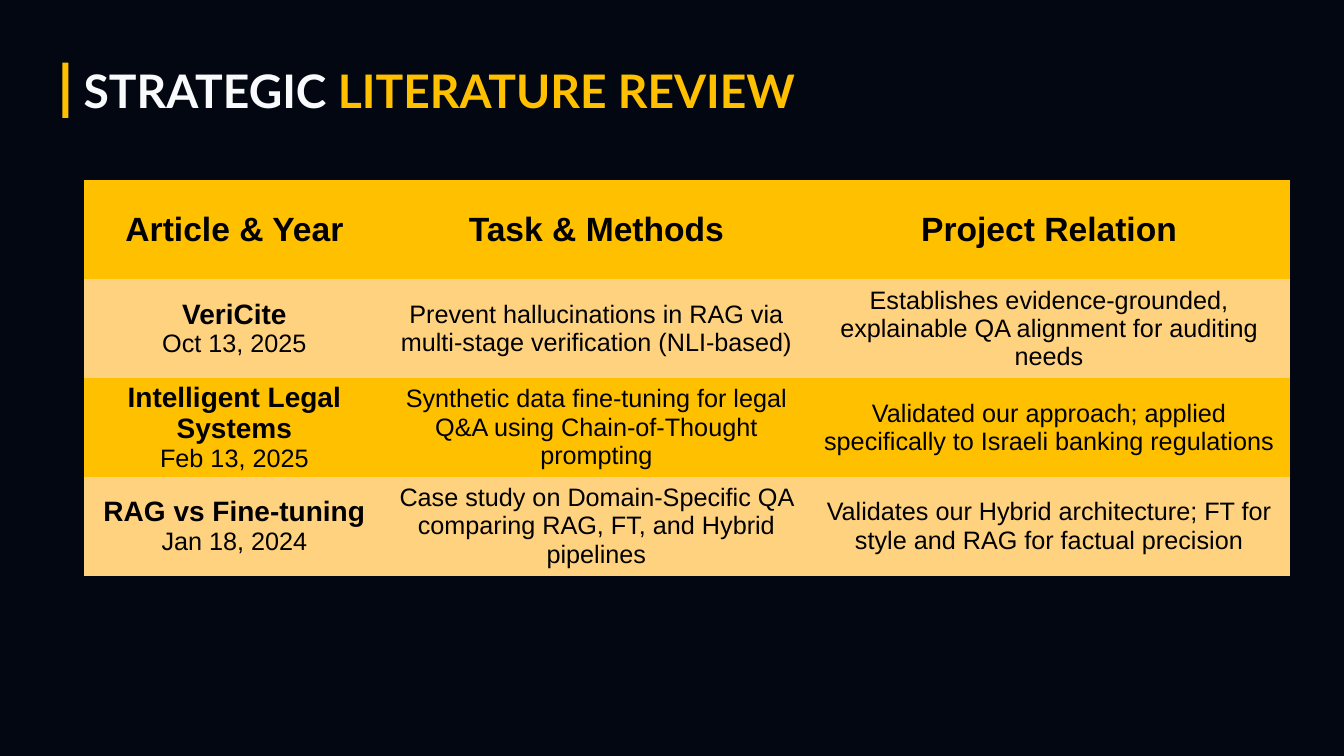
import pptx
import pptx.dml.color
import pptx.enum.shapes
import pptx.enum.text
import pptx.util

Inches = pptx.util.Inches
RGBColor = pptx.dml.color.RGBColor

NIGHT = RGBColor(0x03, 0x07, 0x12)
GOLD = RGBColor(0xFF, 0xC0, 0x00)
PALE_GOLD = RGBColor(0xFF, 0xD2, 0x7F)
WHITE = RGBColor(0xF9, 0xFA, 0xFB)
BLACK = RGBColor(0x00, 0x00, 0x00)

COLUMN_WIDTHS = (2.99, 4.19, 4.79)
ROW_HEIGHT = 0.98
HEADINGS = ("Article & Year", "Task & Methods", "Project Relation")
ARTICLES = (
    ("VeriCite", "Oct 13, 2025",
     "Prevent hallucinations in RAG via multi-stage verification (NLI-based)",
     "Establishes evidence-grounded, explainable QA alignment for auditing needs"),
    ("Intelligent Legal Systems", "Feb 13, 2025",
     "Synthetic data fine-tuning for legal Q&A using Chain-of-Thought prompting",
     "Validated our approach; applied specifically to Israeli banking regulations"),
    ("RAG vs Fine-tuning", "Jan 18, 2024",
     "Case study on Domain-Specific QA comparing RAG, FT, and Hybrid pipelines",
     "Validates our Hybrid architecture; FT for style and RAG for factual precision"),
)


def add_run(paragraph, text, size, color, font="Arial", bold=False):
    """Append one formatted run to a paragraph."""
    run = paragraph.add_run()
    run.text = text
    run.font.name = font
    run.font.size = pptx.util.Pt(size)
    run.font.bold = bold
    run.font.color.rgb = color


def fill_cell(cell, color, lines):
    """Colour a cell and write its centred lines of (text, size, bold)."""
    cell.fill.solid()
    cell.fill.fore_color.rgb = color
    cell.vertical_anchor = pptx.enum.text.MSO_ANCHOR.MIDDLE
    cell.margin_left = cell.margin_right = Inches(0.07)
    cell.margin_top = cell.margin_bottom = Inches(0.03)
    for index, (text, size, bold) in enumerate(lines):
        frame = cell.text_frame
        paragraph = frame.add_paragraph() if index else frame.paragraphs[0]
        paragraph.alignment = pptx.enum.text.PP_ALIGN.CENTER
        add_run(paragraph, text, size, BLACK, bold=bold)


def add_review_table(slide):
    """Add the table of reviewed articles."""
    rows = [[[(heading, 24, True)] for heading in HEADINGS]]
    for name, date, task, relation in ARTICLES:
        rows.append([[(name, 20, True), (date, 18, False)],
                     [(task, 18, False)], [(relation, 18, False)]])
    table = slide.shapes.add_table(
        len(rows), len(COLUMN_WIDTHS), Inches(0.83), Inches(1.79),
        Inches(sum(COLUMN_WIDTHS)), Inches(ROW_HEIGHT * len(rows))).table
    table.horz_banding = False
    for column, width in zip(table.columns, COLUMN_WIDTHS):
        column.width = Inches(width)
    for row_index, row in enumerate(rows):
        table.rows[row_index].height = Inches(ROW_HEIGHT)
        color = PALE_GOLD if row_index % 2 else GOLD
        for column_index, lines in enumerate(row):
            fill_cell(table.cell(row_index, column_index), color, lines)
    properties = table._tbl.tblPr
    style = properties.find(pptx.oxml.ns.qn("a:tableStyleId"))
    style.text = "{2D5ABB26-0587-4C30-8999-92F81FD0307C}"


def add_title(slide):
    """Add the two-colour slide title."""
    frame = slide.shapes.add_textbox(
        Inches(0.83), Inches(0.62), Inches(12.47), Inches(0.55)).text_frame
    frame.word_wrap = True
    frame.auto_size = pptx.enum.text.MSO_AUTO_SIZE.SHAPE_TO_FIT_TEXT
    frame.margin_left = frame.margin_right = 0
    frame.margin_top = frame.margin_bottom = 0
    paragraph = frame.paragraphs[0]
    add_run(paragraph, "STRATEGIC ", 33, WHITE, "Lato", True)
    add_run(paragraph, "LITERATURE REVIEW", 33, GOLD, "Lato", True)


def add_accent_bar(slide):
    """Add the gold bar beside the title."""
    shape = slide.shapes.add_shape(
        pptx.enum.shapes.MSO_SHAPE.RECTANGLE,
        Inches(0.62), Inches(0.62), Inches(0.06), Inches(0.55))
    shape.shadow.inherit = False
    shape.fill.solid()
    shape.fill.fore_color.rgb = GOLD
    shape.line.fill.background()


def main():
    """Build and save the literature review slide."""
    presentation = pptx.Presentation()
    presentation.slide_width = Inches(13.33)
    presentation.slide_height = Inches(7.5)
    slide = presentation.slides.add_slide(presentation.slide_layouts[6])
    slide.background.fill.solid()
    slide.background.fill.fore_color.rgb = NIGHT
    add_review_table(slide)
    add_title(slide)
    add_accent_bar(slide)
    presentation.save("out.pptx")


if __name__ == "__main__":
    main()
